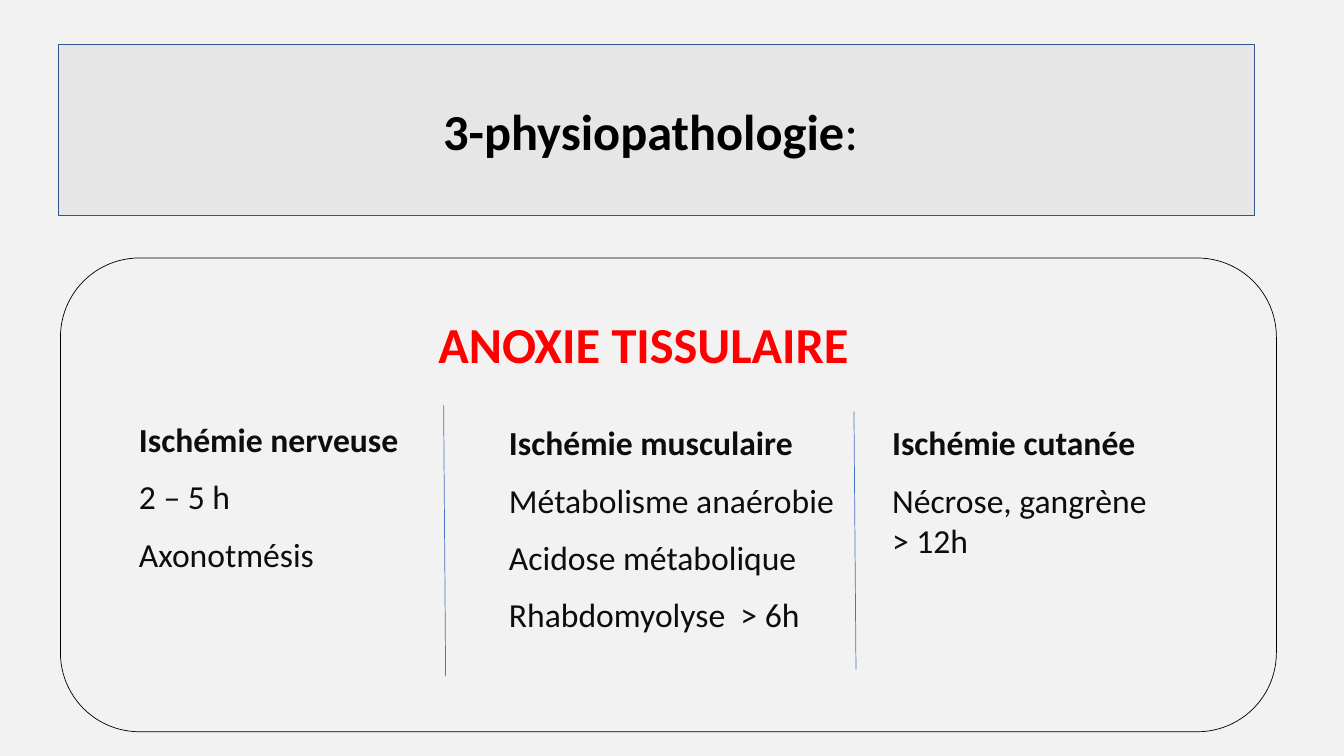
"""Build the pathophysiology slide on tissue anoxia."""
from dataclasses import dataclass

from lxml import etree
from pptx import Presentation
from pptx.dml.color import RGBColor as RGB
from pptx.enum.shapes import MSO_CONNECTOR as CONN, MSO_SHAPE as SHAPE
from pptx.enum.text import MSO_ANCHOR as ANCHOR, PP_ALIGN as ALIGN
from pptx.oxml import parse_xml
from pptx.oxml.ns import nsdecls, qn
from pptx.util import Inches, Pt


@dataclass(frozen=True)
class Theme:
    font: str = "Calibri"
    paper: RGB = RGB(0xF2, 0xF2, 0xF2)
    band: RGB = RGB(0xE7, 0xE6, 0xE6)
    band_line: RGB = RGB(0x32, 0x54, 0x91)
    divider: RGB = RGB(0x44, 0x72, 0xC4)
    black: RGB = RGB(0, 0, 0)
    red: RGB = RGB(0xFF, 0, 0)
    body: RGB = RGB(0x0D, 0x0D, 0x0D)
    heading_size: Pt = Pt(36)
    body_size: Pt = Pt(24)
    gap: Pt = Pt(12)


T = Theme()


def add_run(p, text, size=T.body_size, color=T.body, bold=False):
    r = p.add_run()
    r.text = text
    r.font.name = T.font
    r.font.size = size
    r.font.bold = bold
    r.font.color.rgb = color


prs = Presentation()
prs.slide_width, prs.slide_height = Inches(13.33), Inches(7.5)
s = prs.slides.add_slide(prs.slide_layouts[5])
s.background.fill.solid()
s.background.fill.fore_color.rgb = T.paper

title = s.shapes.title
title.left, title.top = Inches(0.58), Inches(0.44)
title.width, title.height = Inches(11.86), Inches(1.7)
title._element.spPr.append(parse_xml(
    f'<a:prstGeom {nsdecls("a")} prst="roundRect"><a:avLst/></a:prstGeom>'))
title.fill.solid()
title.fill.fore_color.rgb = T.band
title.line.color.rgb = T.band_line
title.line.width = Pt(1)
tf = title.text_frame
tf.vertical_anchor = ANCHOR.MIDDLE
p = tf.paragraphs[0]
p.alignment = ALIGN.CENTER
add_run(p, "3-physiopathologie", size=T.heading_size, color=T.black, bold=True)
add_run(p, ": ", size=T.heading_size, color=T.black)

panel = s.shapes.add_shape(SHAPE.ROUNDED_RECTANGLE, Inches(0.6), Inches(2.56),
                           Inches(12.06), Inches(4.7))
panel.shadow.inherit = False
panel.fill.solid()
panel.fill.fore_color.rgb = T.paper
panel.line.color.rgb = T.black
panel.line.width = Pt(0.5)

heading = s.shapes.add_textbox(Inches(4.25), Inches(3.06), Inches(5.47), Inches(0.71))
heading.text_frame.word_wrap = True
add_run(heading.text_frame.paragraphs[0], "ANOXIE TISSULAIRE",
        size=T.heading_size, color=T.red, bold=True)

columns = [
    (1.28, 4.11, 3, 1.72, ["Ischémie nerveuse", "2 – 5 h", "Axonotmésis"]),
    (4.95, 4.14, 3.5, 2.32, ["Ischémie musculaire", "Métabolisme anaérobie",
                             "Acidose métabolique", "Rhabdomyolyse  > 6h"]),
    (8.75, 4.14, 3, 1.51, ["Ischémie cutanée", "Nécrose, gangrène  > 12h"]),
]
for left, top, width, height, lines in columns:
    box = s.shapes.add_textbox(Inches(left), Inches(top), Inches(width), Inches(height))
    tf = box.text_frame
    tf.word_wrap = True
    for i, text in enumerate(lines):
        p = tf.add_paragraph() if i else tf.paragraphs[0]
        if i:
            p.space_before = T.gap
        add_run(p, text, bold=i == 0)

for x, top, bottom in [(4.4, 4.02, 6.71), (8.47, 4.08, 6.64)]:
    divider = s.shapes.add_connector(CONN.STRAIGHT, Inches(x), Inches(top),
                                     Inches(x + 0.02), Inches(bottom))
    divider.line.color.rgb = T.divider
    divider.line.width = Pt(0.5)
    etree.SubElement(divider._element.spPr, qn("a:effectLst"))

prs.save("out.pptx")
